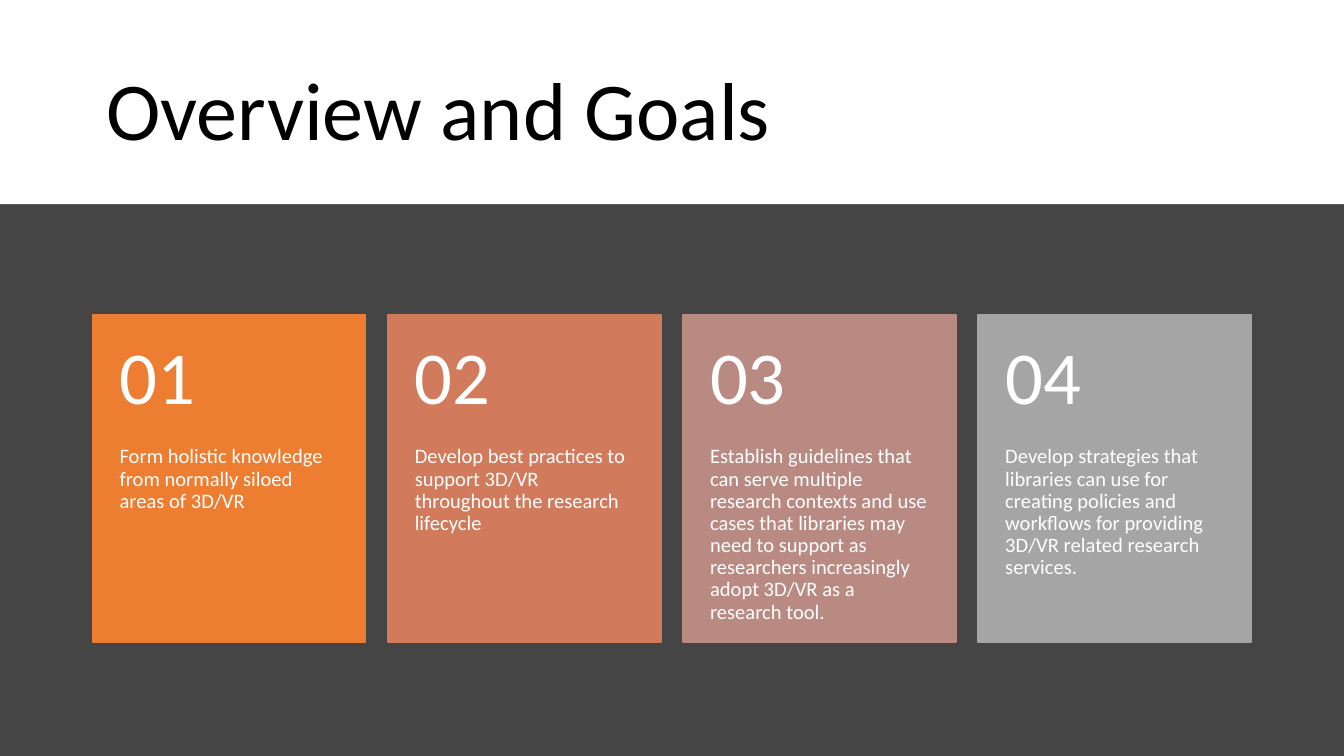
from pptx import Presentation
from pptx.dml.color import RGBColor
from pptx.enum.shapes import MSO_SHAPE
from pptx.enum.text import MSO_ANCHOR, MSO_AUTO_SIZE, PP_ALIGN
from pptx.util import Inches, Pt

RECT = MSO_SHAPE.RECTANGLE
TOP, MIDDLE = MSO_ANCHOR.TOP, MSO_ANCHOR.MIDDLE
LEFT = PP_ALIGN.LEFT
NO_FIT = MSO_AUTO_SIZE.NONE

WHITE = RGBColor(0xFF, 0xFF, 0xFF)
BLACK = RGBColor(0x00, 0x00, 0x00)
DARK = RGBColor(0x45, 0x45, 0x45)
ORANGE = RGBColor(0xED, 0x7D, 0x31)
CORAL = RGBColor(0xD1, 0x7B, 0x5C)
ROSE = RGBColor(0xB9, 0x8A, 0x82)
GRAY = RGBColor(0xA5, 0xA5, 0xA5)

FONT = "Calibri"
WIDE = 10
EDGE, SPAN = 0.69, 8.62
CARD_TOP, CARD_W, CARD_H = 2.34, 2.03, 2.44
HEAD_H = 0.98

GOALS = [
    (ORANGE, "Form holistic knowledge from normally siloed areas of 3D/VR"),
    (CORAL, "Develop best practices to support 3D/VR throughout the research "
            "lifecycle"),
    (ROSE, "Establish guidelines that can serve multiple research contexts "
           "and use cases that libraries may need to support as researchers "
           "increasingly adopt 3D/VR as a research tool."),
    (GRAY, "Develop strategies that libraries can use for creating policies "
           "and workflows for providing 3D/VR related research services."),
]

# Frame settings for the two texts on a card
SIDES = {"margin_left": Inches(0.2), "margin_right": Inches(0.2)}
HEAD = {**SIDES, "margin_top": Inches(0.18), "margin_bottom": Inches(0.18),
        "vertical_anchor": MIDDLE}
BODY = {**SIDES, "margin_top": 0, "margin_bottom": Inches(0.36),
        "vertical_anchor": TOP}


def apply(target, values):
    for name, value in values.items():
        setattr(target, name, value)


def write(frame, text, size, color, values):
    apply(frame, {"word_wrap": True, "auto_size": NO_FIT, **values})
    para = frame.paragraphs[0]
    apply(para, {"alignment": LEFT, "line_spacing": 0.9})
    run = para.add_run()
    run.text = text
    apply(run.font, {"name": FONT, "size": Pt(size)})
    run.font.color.rgb = color


def add_rect(shapes, box, color):
    rect = shapes.add_shape(RECT, *map(Inches, box))
    rect.shadow.inherit = False
    rect.fill.solid()
    rect.fill.fore_color.rgb = color
    rect.line.fill.background()
    return rect


def add_text(shapes, box, text, size, values):
    frame = shapes.add_textbox(*map(Inches, box)).text_frame
    write(frame, text, size, WHITE, values)


def add_card(shapes, left, label, color, text):
    card = add_rect(shapes, (left, CARD_TOP, CARD_W, CARD_H), color)
    card.line.color.rgb = color
    card.line.width = Pt(1)
    add_text(shapes, (left, CARD_TOP + HEAD_H, CARD_W, CARD_H - HEAD_H),
             text, 11, BODY)
    add_text(shapes, (left, CARD_TOP, CARD_W, HEAD_H), label, 40, HEAD)


def add_title(slide, text):
    title = slide.shapes.title
    apply(title, {"left": Inches(EDGE), "top": Inches(0.3),
                  "width": Inches(SPAN), "height": Inches(1.09)})
    write(title.text_frame, text, 44, BLACK, {"vertical_anchor": MIDDLE})
    # White band, placed behind the title
    band = add_rect(slide.shapes, (0, 0, WIDE, 1.52), WHITE)
    title._element.addprevious(band._element)


def main():
    # Slide in 16:9 format
    deck = Presentation()
    apply(deck, {"slide_width": Inches(WIDE),
                 "slide_height": Inches(WIDE * 9 / 16)})
    slide = deck.slides.add_slide(deck.slide_layouts[5])
    slide.background.fill.solid()
    slide.background.fill.fore_color.rgb = DARK
    add_title(slide, "Overview and Goals")

    # Cards spread evenly over the title width
    cards = slide.shapes.add_group_shape().shapes
    step = (SPAN - CARD_W) / (len(GOALS) - 1)
    for i, (color, text) in enumerate(GOALS):
        add_card(cards, EDGE + i * step, f"{i + 1:02}", color, text)

    deck.save("out.pptx")


if __name__ == "__main__":
    main()
